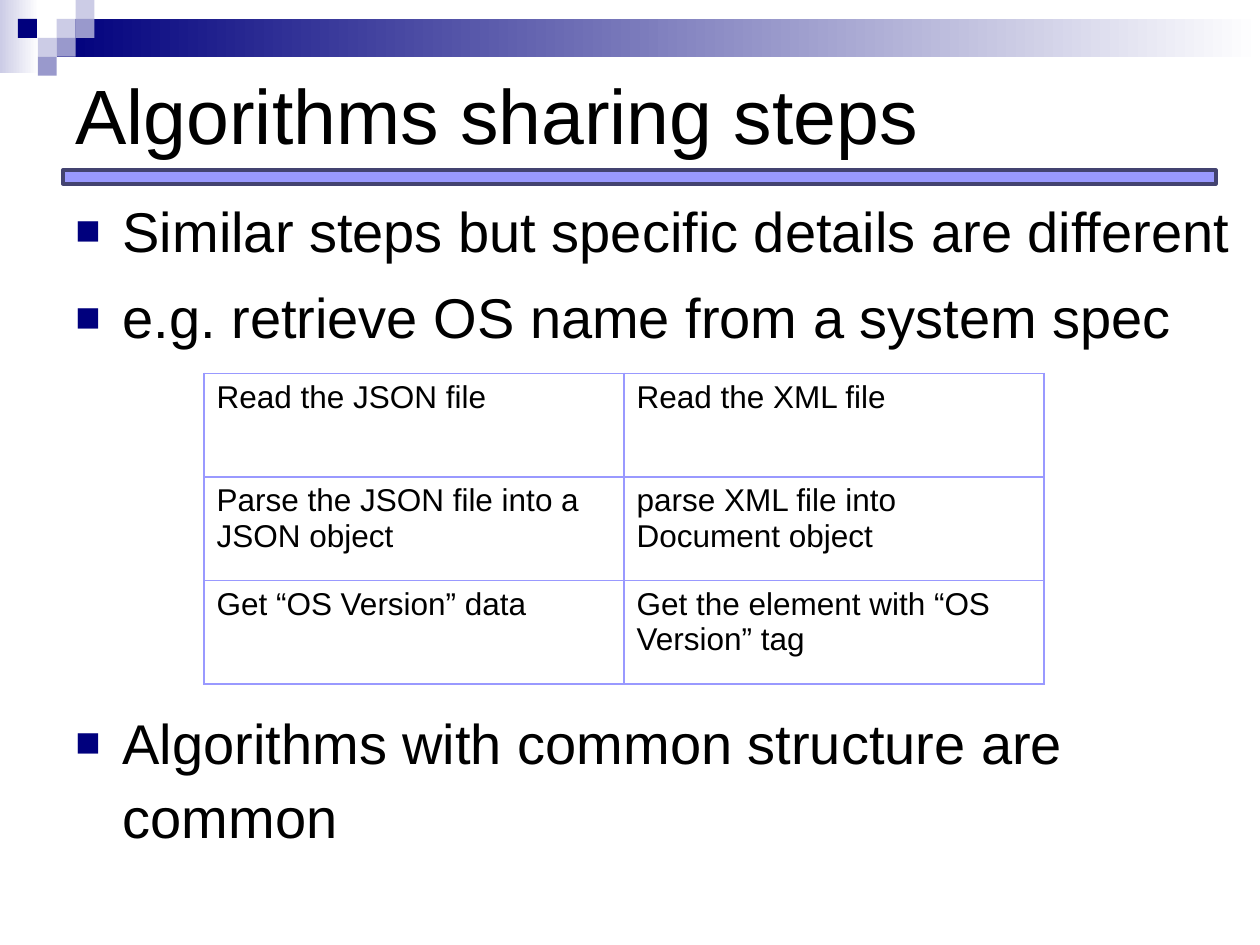
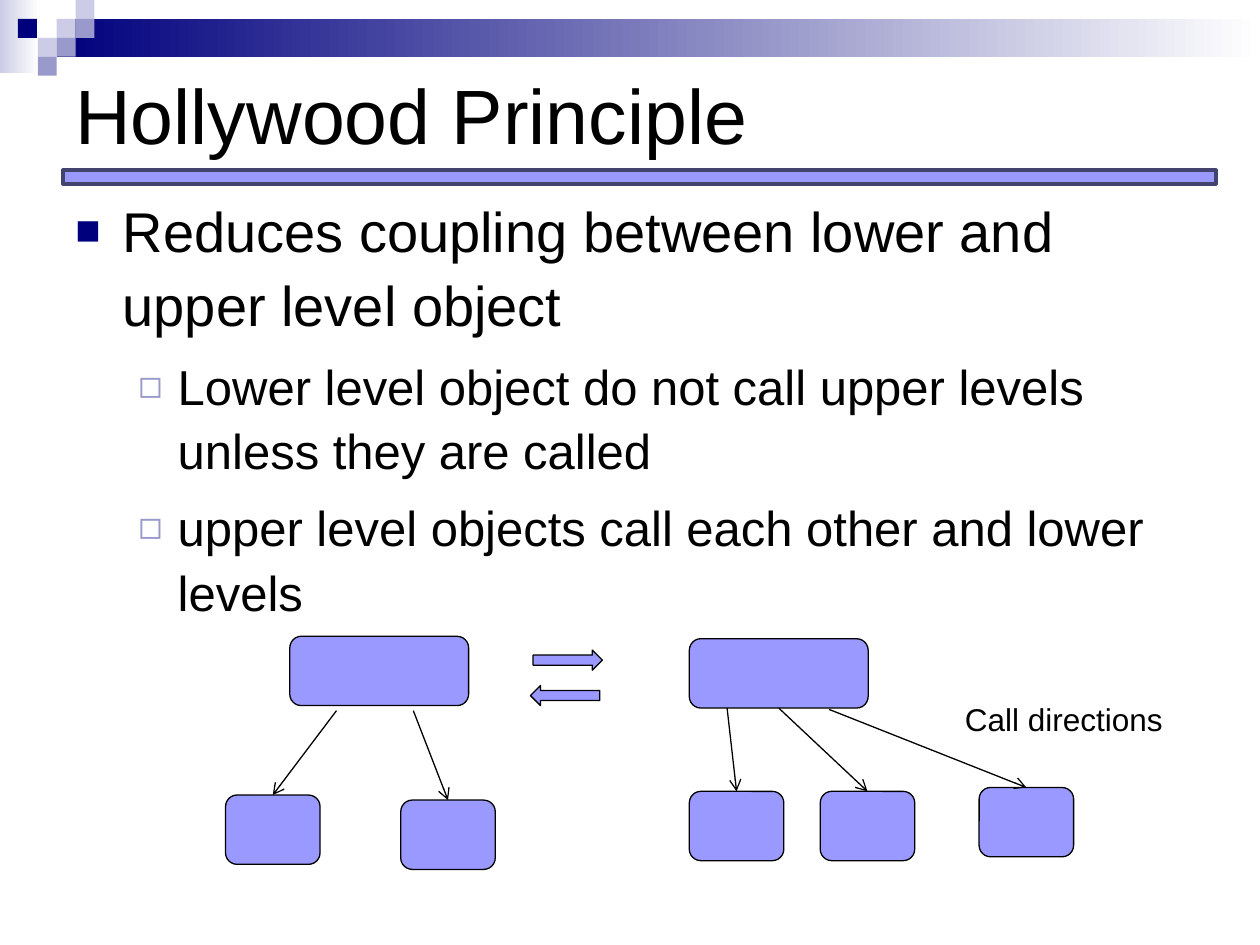
from collections import namedtuple

import pptx
import pptx.dml.color
import pptx.enum.shapes
import pptx.enum.text
import pptx.oxml
import pptx.oxml.ns
import pptx.util
from lxml import etree

Pt = pptx.util.Pt
SHAPES = pptx.enum.shapes.MSO_SHAPE
ANCHORS = pptx.enum.text.MSO_ANCHOR
Box = namedtuple("Box", "left top width height")
Bullet = namedtuple("Bullet", "size char color scale margin indent")


class Theme:
    font = "Arial"
    ink, navy, lilac, pale, accent, rule_edge, paper = (
        pptx.dml.color.RGBColor.from_string(code)
        for code in ("000000", "00007D", "9999CC", "CCCCE6", "9999FF", "434370", "FFFFFF")
    )
    title_size, label_size = 44, 18
    hairline, rule_line, table_line = 0.75, 2, 1
    bullet_gap, line_spacing = 7, 1.1
    levels = (
        Bullet(32, "■", navy, 75, 27, -27),
        Bullet(28, "◻", lilac, 80, 58.5, -22.5),
    )


PAGE = Box(0, 0, 720, 540)
TITLE = Box(36, 10.8, 648, 108)
RULE = Box(36, 97.2, 658.8, 7.9)
STEPS_BODY = Box(36, 105.1, 684, 357.1)
STEPS_TABLE = Box(116.6, 213.4, 480, 177.6)
PRINCIPLE_BODY = Box(36, 105.1, 648, 267.1)
CALL_DIAGRAM = Box(128.9, 363.6, 544.3, 130)


def apply(target, values):
    for name, value in values.items():
        setattr(target, name, value)


def child(parent, tag, **attributes):
    element = etree.SubElement(parent, pptx.oxml.ns.qn(tag))
    for name, value in attributes.items():
        element.set(name, str(value))
    return element


def points(box):
    return [Pt(value) for value in box]


def within(outer, left, top, width, height):
    return Box(outer.left + left, outer.top + top, width, height)


def style_run(paragraph, words, size):
    run = paragraph.add_run()
    run.text = words
    apply(run.font, {"name": Theme.font, "size": Pt(size)})
    run.font.color.rgb = Theme.ink


def add_block(slide, kind, box, fill, edge=None, edge_width=Theme.hairline):
    block = slide.shapes.add_shape(kind, *points(box))
    block.shadow.inherit = False
    if isinstance(fill, tuple) and len(fill) == 2:
        block.fill.gradient()
        block.fill.gradient_angle = 0
        for stop, color in zip(block.fill.gradient_stops, fill):
            stop.color.rgb = color
    else:
        block.fill.solid()
        block.fill.fore_color.rgb = fill
    if edge is None:
        block.line.fill.background()
    else:
        block.line.color.rgb = edge
        block.line.width = Pt(edge_width)
    return block


def add_text_frame(slide, box, **values):
    frame = slide.shapes.add_textbox(*points(box)).text_frame
    apply(frame, {"word_wrap": True, **values})
    return frame


def add_header(slide, page):
    unit = 10.8
    add_block(slide, SHAPES.RECTANGLE, within(page, 0, 0, 22.3, 41.8), (Theme.pale, Theme.paper))
    band = within(page, 3 * unit, unit, page.width - 3 * unit, 2 * unit)
    add_block(slide, SHAPES.RECTANGLE, band, (Theme.navy, Theme.paper))
    mosaic = (
        (3, 1, Theme.pale), (4, 0, Theme.pale), (4, 1, Theme.lilac), (2, 2, Theme.pale),
        (0.95, 1, Theme.navy), (3, 2, Theme.lilac), (2, 3, Theme.lilac),
    )
    for column, row, color in mosaic:
        tile = within(page, column * unit, row * unit, unit, unit)
        add_block(slide, SHAPES.RECTANGLE, tile, color)
    add_block(slide, SHAPES.RECTANGLE, RULE, Theme.accent, Theme.rule_edge, Theme.rule_line)


def add_title(slide, box, words):
    frame = add_text_frame(slide, box, vertical_anchor=ANCHORS.MIDDLE)
    style_run(frame.paragraphs[0], words, Theme.title_size)


def add_bullets(slide, box, entries):
    frame = add_text_frame(slide, box)
    for index, (level, words, gap) in enumerate(entries):
        paragraph = frame.add_paragraph() if index else frame.paragraphs[0]
        bullet = Theme.levels[level]
        apply(paragraph, {
            "level": level,
            "line_spacing": Theme.line_spacing,
            "space_before": Pt(gap),
        })
        properties = paragraph._p.get_or_add_pPr()
        properties.set("marL", str(Pt(bullet.margin)))
        properties.set("indent", str(Pt(bullet.indent)))
        child(child(properties, "a:buClr"), "a:srgbClr", val=bullet.color)
        child(properties, "a:buSzPct", val=bullet.scale * 1000)
        child(properties, "a:buFont", typeface=Theme.font)
        child(properties, "a:buChar", char=bullet.char)
        style_run(paragraph, words, bullet.size)


def add_steps_table(slide, box, rows):
    steps = slide.shapes.add_table(len(rows), len(rows[0]), *points(box)).table
    apply(steps, {"first_row": False, "horz_banding": False})
    for row_index, row in enumerate(rows):
        for column_index, words in enumerate(row):
            cell = steps.cell(row_index, column_index)
            style_run(cell.text_frame.paragraphs[0], words, Theme.label_size)
            properties = cell._tc.get_or_add_tcPr()
            for side in ("a:lnL", "a:lnR", "a:lnT", "a:lnB"):
                border = child(properties, side, w=Pt(Theme.table_line))
                child(child(border, "a:solidFill"), "a:srgbClr", val=Theme.accent)
            cell.fill.background()


def add_call(slide, start, callee, caller=None):
    call = slide.shapes.add_connector(
        pptx.enum.shapes.MSO_CONNECTOR.STRAIGHT, *points(start),
        callee.left + callee.width // 2, callee.top,
    )
    call.line.color.rgb = Theme.ink
    call.line.width = Pt(Theme.hairline)
    child(call.line._get_or_add_ln(), "a:tailEnd", type="arrow")
    child(call._element.spPr, "a:effectLst")
    if caller is not None:
        call.begin_connect(caller, 2)
    call.end_connect(callee, 0)


def add_call_diagram(slide, box):
    def add_object(left, top, width):
        place = within(box, left, top, width, 39.6)
        return add_block(slide, SHAPES.ROUNDED_RECTANGLE, place, Theme.accent, Theme.ink)

    upper_width, lower_width = 102.2, 54
    add_object(36.7, 0, upper_width)
    right_upper = add_object(265, 1.4, upper_width)
    calls = (
        (0, 90.7, 63.4, 42.5, None),
        (100.1, 93.6, 107.3, 42.5, None),
        (265, 88.6, 286.6, 41, None),
        (339.8, 88.6, 316.1, 41, right_upper),
        (430.6, 86.4, 344.9, 41.8, None),
    )
    for left, top, start_x, start_y, caller in calls:
        lower = add_object(left, top, lower_width)
        add_call(slide, (box.left + start_x, box.top + start_y), lower, caller)

    for left, top, rotation in ((175.7, 7.9, 0), (174.2, 28.1, 180)):
        place = within(box, left, top, 39.6, 11.5)
        exchange = add_block(slide, SHAPES.RIGHT_ARROW, place, Theme.accent, Theme.ink)
        exchange.rotation = rotation

    caption = add_text_frame(slide, within(box, 415.4, 33.1, 128.9, 28.8), word_wrap=False)
    style_run(caption.paragraphs[0], "Call directions", Theme.label_size)


def start_slide(deck, title):
    slide = deck.slides.add_slide(deck.slide_layouts[6])
    add_header(slide, PAGE)
    add_title(slide, TITLE, title)
    return slide


def build_steps_slide(deck):
    slide = start_slide(deck, "Algorithms sharing steps")
    room_for_table = 201
    add_bullets(slide, STEPS_BODY, (
        (0, "Similar steps but specific details are different", Theme.bullet_gap),
        (0, "e.g. retrieve OS name from a system spec", Theme.bullet_gap),
        (0, "Algorithms with common structure are common", room_for_table),
    ))
    add_steps_table(slide, STEPS_TABLE, (
        ("Read the JSON file", "Read the XML file"),
        ("Parse the JSON file into a JSON object", "parse XML file into Document object"),
        ("Get “OS Version” data", "Get the element with “OS Version” tag"),
    ))


def build_principle_slide(deck):
    slide = start_slide(deck, "Hollywood Principle")
    add_bullets(slide, PRINCIPLE_BODY, (
        (0, "Reduces coupling between lower and upper level object", Theme.bullet_gap),
        (1, "Lower level object do not call upper levels unless they are called", Theme.bullet_gap),
        (1, "upper level objects call each other and lower levels", Theme.bullet_gap),
    ))
    add_call_diagram(slide, CALL_DIAGRAM)


def main():
    deck = pptx.Presentation()
    apply(deck, {"slide_width": Pt(PAGE.width), "slide_height": Pt(PAGE.height)})
    build_steps_slide(deck)
    build_principle_slide(deck)
    deck.save("out.pptx")


if __name__ == "__main__":
    main()
